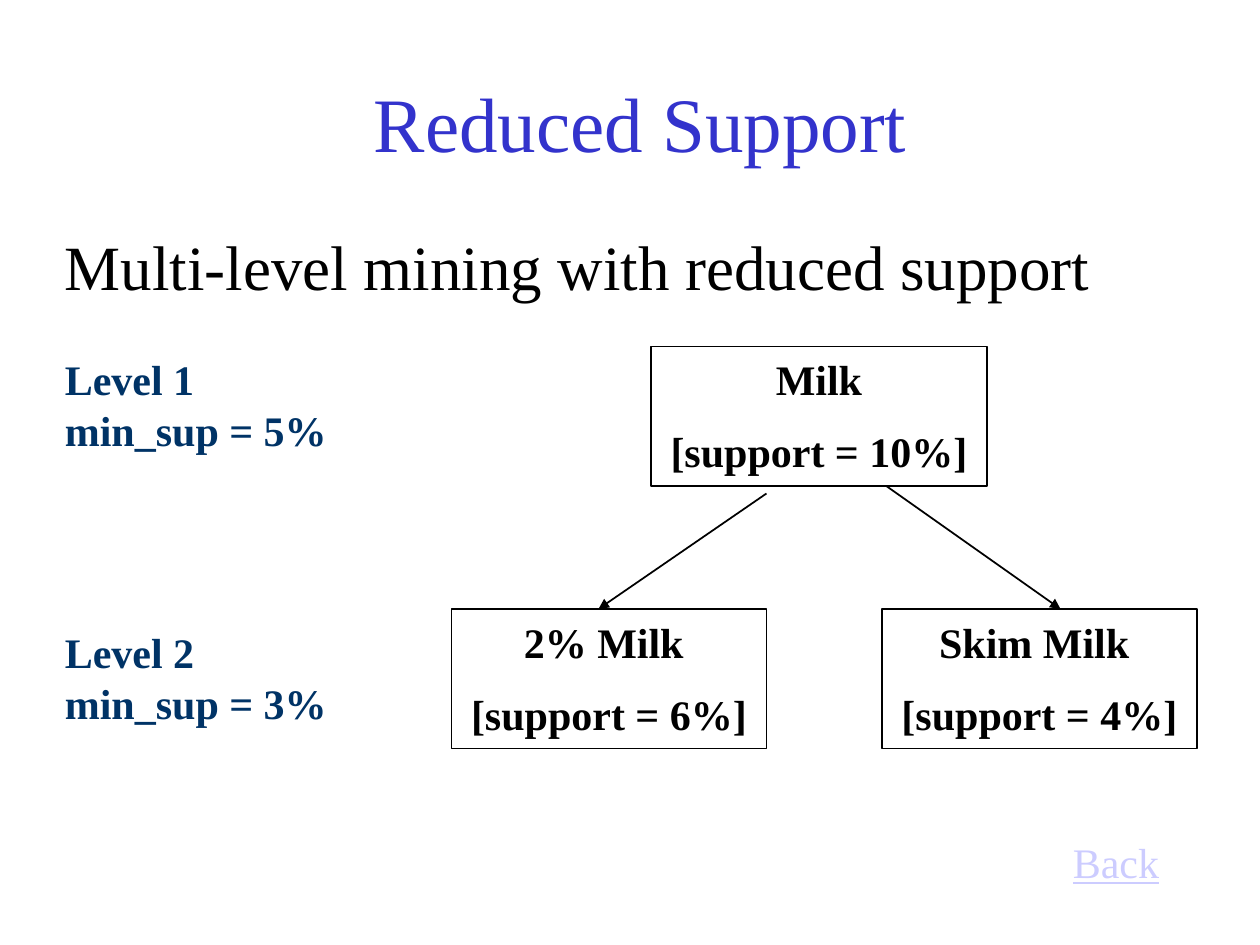
from dataclasses import dataclass

from lxml import etree
from pptx import Presentation
from pptx.dml.color import RGBColor
from pptx.enum.shapes import MSO_CONNECTOR, MSO_SHAPE
from pptx.enum.text import MSO_ANCHOR, PP_ALIGN
from pptx.oxml.ns import qn
from pptx.util import Inches, Pt

RECT, STRAIGHT = MSO_SHAPE.RECTANGLE, MSO_CONNECTOR.STRAIGHT
LEFT, CENTER = PP_ALIGN.LEFT, PP_ALIGN.CENTER
TOP, MIDDLE = MSO_ANCHOR.TOP, MSO_ANCHOR.MIDDLE


@dataclass(frozen=True)
class Theme:
    font: str = "Times New Roman"
    title_color: RGBColor = RGBColor(0x33, 0x33, 0xCC)
    level_color: RGBColor = RGBColor(0x00, 0x33, 0x66)
    back_color: RGBColor = RGBColor(0xCC, 0xCC, 0xFF)
    ink: RGBColor = RGBColor(0, 0, 0)
    paper: RGBColor = RGBColor(255, 255, 255)
    title_size: int = 44
    body_size: int = 36
    label_size: int = 24
    leading: float = 1.22
    box_line: float = 0.75
    arrow_line: float = 1


class SlideBuilder:
    """Places elements on a grid of 120 columns by 90 rows."""

    def __init__(self, deck, theme):
        self.theme = theme
        self.page = deck.slides.add_slide(deck.slide_layouts[6])
        self.column = deck.slide_width / 120
        self.row = deck.slide_height / 90

    def place(self, x, y):
        return round(x * self.column), round(y * self.row)

    def fill_text(self, box, lines, size, color, align=LEFT, anchor=TOP,
                  wrap=True, gap=0, **style):
        frame = box.text_frame
        frame.word_wrap, frame.vertical_anchor = wrap, anchor
        font_format = {"name": self.theme.font, "size": Pt(size), **style}
        for index, line in enumerate(lines):
            para = frame.paragraphs[0] if index == 0 else frame.add_paragraph()
            para.alignment = align
            para.line_spacing = Pt(round(size * self.theme.leading, 1))
            para.space_before = Pt(gap if index else 0)
            span = para.add_run()
            span.text = line
            span.font.color.rgb = color
            for name, value in font_format.items():
                setattr(span.font, name, value)

    def text(self, x, y, width, height, lines, size, color, **style):
        box = self.page.shapes.add_textbox(
            *self.place(x, y), *self.place(width, height))
        self.fill_text(box, lines, size, color, **style)

    def node(self, x, y, width, lines):
        box = self.page.shapes.add_shape(
            RECT, *self.place(x, y), *self.place(width, 13.3))
        box.shadow.inherit = False
        box.fill.solid()
        box.fill.fore_color.rgb = self.theme.paper
        box.line.color.rgb = self.theme.ink
        box.line.width = Pt(self.theme.box_line)
        self.fill_text(box, lines, self.theme.label_size, self.theme.ink,
                       align=CENTER, gap=12, bold=True)

    def arrow(self, start, end):
        arrow = self.page.shapes.add_connector(
            STRAIGHT, *self.place(*start), *self.place(*end))
        arrow.line.color.rgb = self.theme.ink
        arrow.line.width = Pt(self.theme.arrow_line)
        properties = arrow.element.spPr
        etree.SubElement(properties.find(qn("a:ln")), qn("a:tailEnd"),
                         type="triangle")
        etree.SubElement(properties, qn("a:effectLst"))


def main():
    deck = Presentation()
    deck.slide_width, deck.slide_height = Inches(10), Inches(7.5)
    theme = Theme()
    page = SlideBuilder(deck, theme)

    # Title and statement
    page.text(10, 4, 102, 15, ["Reduced Support"], theme.title_size,
              theme.title_color, align=CENTER, anchor=MIDDLE)
    page.text(5, 21, 110, 13, ["Multi-level mining with reduced support"],
              theme.body_size, theme.ink)

    # Lower items, arrows, then the top item over the arrow starts
    for x, name, support in ((43, "2% Milk ", 6), (84, "Skim Milk ", 4)):
        page.node(x, 58, 30, [name, f"[support = {support}%]"])
    page.arrow((73, 47), (57, 58))
    page.arrow((84, 46), (101, 58))
    page.node(62, 33, 32, ["Milk", "[support = 10%]"])

    # Level labels
    for y, level, minimum in ((33, 1, 5), (59, 2, 3)):
        page.text(5, y, 27.4, 10.8,
                  [f"Level {level}", f"min_sup = {minimum}%"],
                  theme.label_size, theme.level_color, wrap=False, bold=True)

    # Back label
    page.text(101, 79, 10.7, 6, ["Back"], theme.label_size,
              theme.back_color, wrap=False, underline=True)

    deck.save("out.pptx")


if __name__ == "__main__":
    main()
